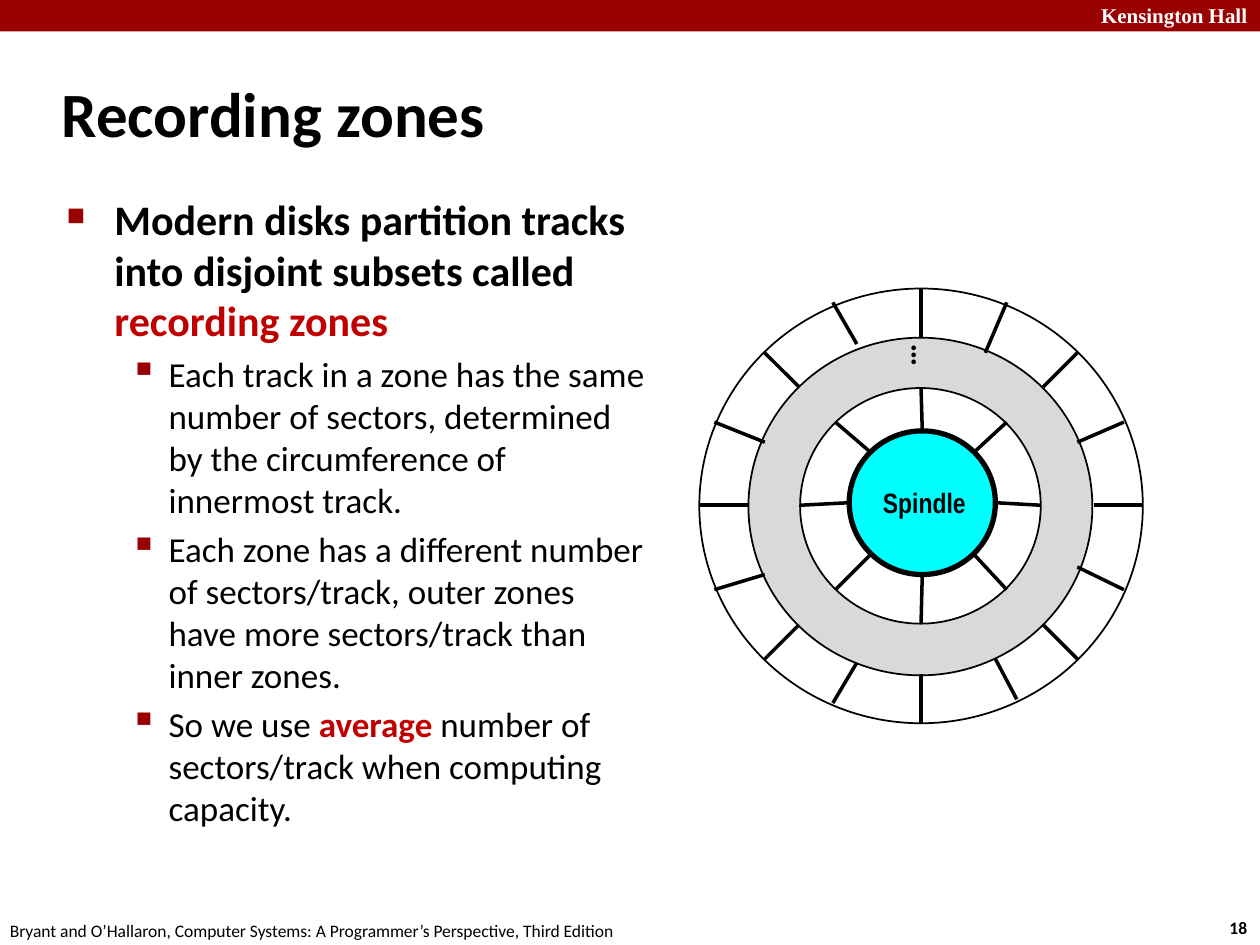
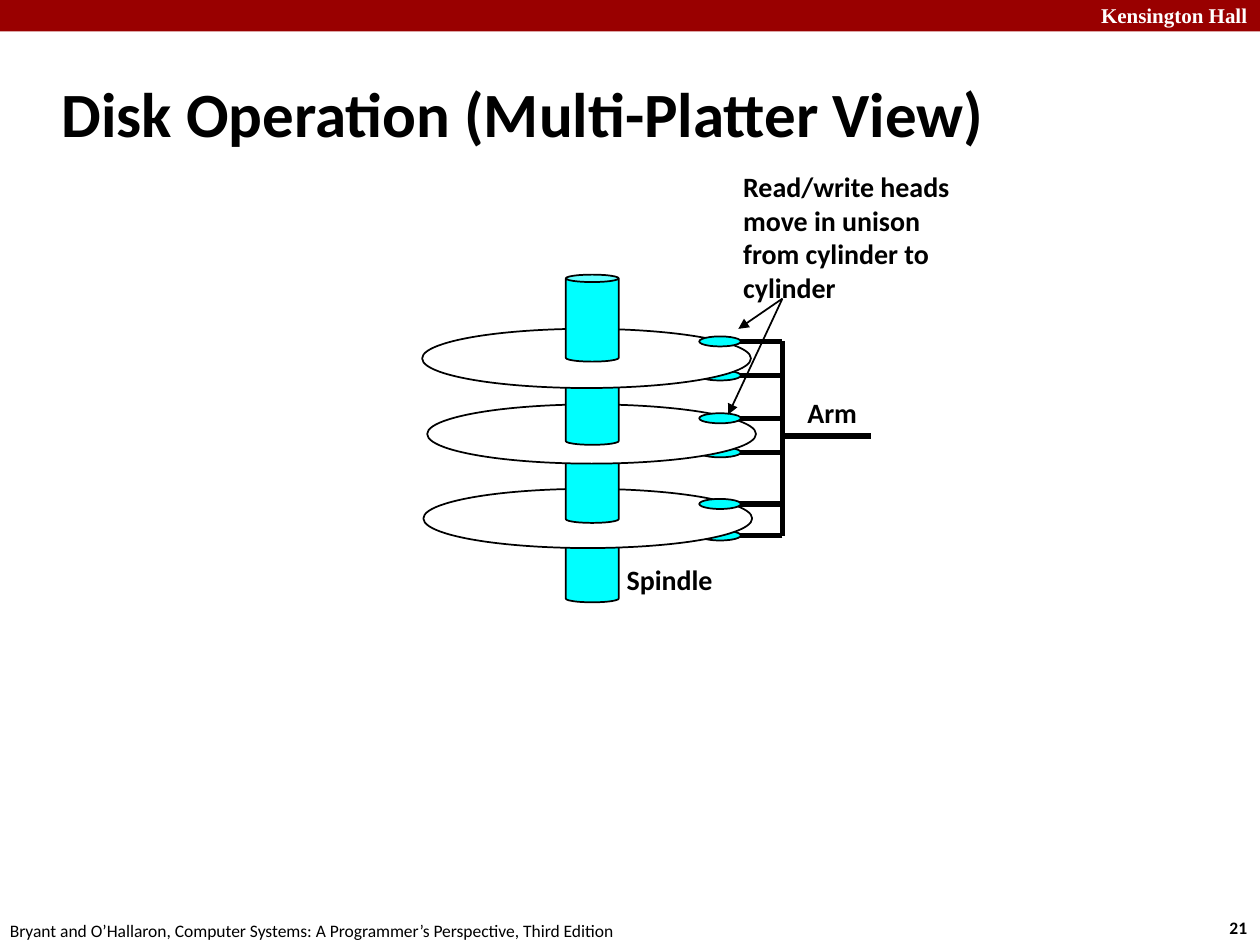
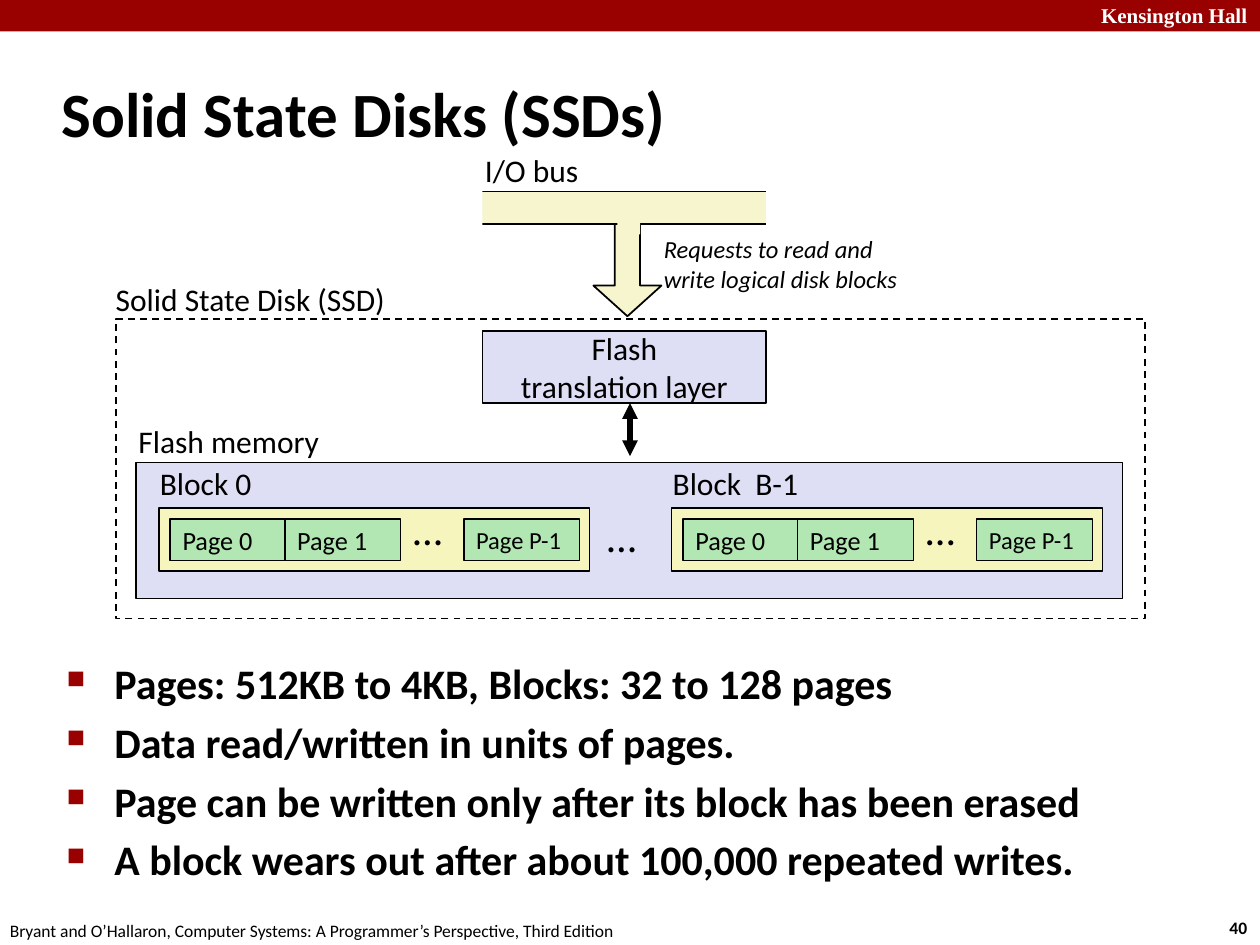
"""Build three lecture slides on disk zones, multi-platter disks and solid state disks."""
from lxml.etree import SubElement
from pptx import Presentation
from pptx.dml.color import RGBColor
from pptx.enum.dml import MSO_LINE
from pptx.enum.shapes import MSO_CONNECTOR, MSO_SHAPE as SHAPE
from pptx.enum.text import MSO_ANCHOR as ANCHOR, MSO_AUTO_SIZE as FIT, PP_ALIGN as ALIGN
from pptx.oxml.ns import qn
from pptx.util import Inches, Pt

COLORS = {
    "band": "990000", "accent": "C00000", "black": "000000", "white": "FFFFFF",
    "gap": "D9D9D9", "cyan": "00FFFF", "lavender": "DEDFF5",
    "bus": "F7F5CD", "block": "F6F5BD", "page": "B2E6B2",
}
INSTITUTION = "Kensington Hall"
FOOTER = "Bryant and O’Hallaron, Computer Systems: A Programmer’s Perspective, Third Edition"

LEVELS = [
    {"indent": 0.38, "hang": 0.38, "before": 4.8, "mark": "■", "percent": 60,
     "font": {"size": 24, "bold": True}},
    {"indent": 0.81, "hang": 0.31, "before": 4, "mark": "▪", "percent": 110,
     "font": {"size": 20, "bold": False}},
]
EMPHASIS = {"bold": True, "color": "accent"}

ZONE_POINTS = [
    (0, [("Modern disks partition tracks into disjoint subsets called ", False),
         ("recording zones", True)]),
    (1, [("Each track in a zone has the same number of sectors, determined by the "
          "circumference of innermost track.", False)]),
    (1, [("Each zone has a different number of sectors/track, outer zones have more "
          "sectors/track than inner zones.", False)]),
    (1, [("So we use ", False), ("average ", True),
         ("number of sectors/track when computing capacity.", False)]),
]
ZONE_RINGS = [
    ((5.94, 2.68, 2.73, 2.68), "gap"),
    ((6.35, 3.08, 1.91, 1.87), "white"),
    ((5.55, 2.29, 3.52, 3.45), None),
]
INNER_SECTORS = [
    (7.31, 3.08, 7.32, 3.42), (7.99, 3.35, 7.73, 3.59), (8.26, 4.01, 7.9, 3.99),
    (7.99, 4.68, 7.73, 4.4), (7.31, 4.95, 7.32, 4.56), (6.91, 4.4, 6.63, 4.68),
    (6.74, 3.99, 6.35, 4.01), (6.63, 3.35, 6.91, 3.59),
]
OUTER_SECTORS = [
    (7.31, 2.29, 7.31, 2.68), (7.99, 2.4, 7.82, 2.8), (8.55, 2.8, 8.28, 3.07),
    (8.55, 3.51, 8.92, 3.35), (9.07, 4.01, 8.68, 4.01), (8.55, 4.5, 8.92, 4.68),
    (8.55, 5.23, 8.28, 4.96), (7.9, 5.23, 8.07, 5.55), (7.31, 5.74, 7.31, 5.35),
    (6.8, 5.26, 6.61, 5.58), (6.34, 4.96, 6.07, 5.23), (5.67, 4.68, 6.07, 4.56),
    (5.94, 4.01, 5.55, 4.01), (5.67, 3.35, 6.07, 3.51), (6.07, 2.8, 6.34, 3.07),
    (6.61, 2.4, 6.8, 2.73),
]

PLATTERS = [
    {"spindle": 4.09, "disc": (3.36, 3.88), "upper": 4.0, "lower": 4.25},
    {"spindle": 3.46, "disc": (3.39, 3.21), "upper": 3.32, "lower": 3.59},
    {"spindle": 2.84, "disc": (3.35, 2.61), "upper": 2.71, "lower": 2.98},
]
SPINDLE_TOP = 2.18
ARM_X = 6.21
HEADS_NOTE = ["Read/write heads", "move in unison", "from cylinder to cylinder"]
HEADS_NOTE_TARGETS = [(5.86, 2.61), (5.78, 3.29)]

BLOCKS = [("Block 0", 1.26), ("Block  B-1", 5.33)]
PAGES = [("Page 0", 0.09, 15), ("Page 1", 1.0, 15), ("Page P-1", 2.42, 14)]
SSD_LABELS = [
    ("Flash memory", (1, 3.3, 1.65, 0.4), 18),
    ("Solid State Disk (SSD)", (0.82, 2.17, 2.37, 0.4), 18),
    ("I/O bus", (3.75, 1.15, 0.95, 0.4), 18),
    ("…", (4.72, 4, 0.44, 0.5), 24),
]
REQUESTS_NOTE = ["Requests to read and", "write logical disk blocks"]
SSD_POINTS = [
    "Pages: 512KB to 4KB, Blocks: 32 to 128 pages",
    "Data read/written in units of pages.",
    "Page can be written only after its block has been erased",
    "A block wears out after about 100,000 repeated writes.",
]


def rgb(color):
    return RGBColor.from_string(COLORS[color])


def add_run(paragraph, text, size=18, color="black", name="Calibri", **style):
    run = paragraph.add_run()
    run.text = text
    run.font.color.rgb = rgb(color)
    for key, value in {"size": Pt(size), "name": name, **style}.items():
        setattr(run.font, key, value)


def write(frame, lines, align=ALIGN.LEFT, **font):
    for number, line in enumerate(lines):
        paragraph = frame.add_paragraph() if number else frame.paragraphs[0]
        paragraph.alignment = align
        add_run(paragraph, line, **font)


def add_label(slide, box, lines, wrap=False, anchor=ANCHOR.TOP, fit=FIT.SHAPE_TO_FIT_TEXT,
              **font):
    frame = slide.shapes.add_textbox(*map(Inches, box)).text_frame
    settings = {"word_wrap": wrap, "vertical_anchor": anchor, "auto_size": fit}
    for key, value in settings.items():
        setattr(frame, key, value)
    write(frame, lines, **font)
    return frame


def add_part(slide, kind, box, fill=None, line=1, lines=(), adjust=(), **font):
    part = slide.shapes.add_shape(kind, *map(Inches, box))
    part.shadow.inherit = False
    for number, value in enumerate(adjust):
        part.adjustments[number] = value
    if fill:
        part.fill.solid()
        part.fill.fore_color.rgb = rgb(fill)
    else:
        part.fill.background()
    if line:
        part.line.color.rgb = rgb("black")
        part.line.width = Pt(line)
    else:
        part.line.fill.background()
    if lines:
        part.text_frame.word_wrap = False
        part.text_frame.vertical_anchor = ANCHOR.MIDDLE
        write(part.text_frame, lines, **font)
    return part


def add_line(slide, ends, width, arrows=()):
    connector = slide.shapes.add_connector(MSO_CONNECTOR.STRAIGHT, *map(Inches, ends))
    connector.line.color.rgb = rgb("black")
    connector.line.width = Pt(width)
    outline = connector.line._get_or_add_ln()
    for end in arrows:
        SubElement(outline, qn(f"a:{end}"), type="triangle")
    SubElement(connector._element.spPr, qn("a:effectLst"))


def add_points(slide, box, points):
    frame = slide.shapes.add_textbox(*map(Inches, box)).text_frame
    frame.word_wrap = True
    for number, (depth, runs) in enumerate(points):
        level = LEVELS[depth]
        paragraph = frame.add_paragraph() if number else frame.paragraphs[0]
        paragraph.level = depth
        paragraph.space_before = Pt(level["before"])
        props = paragraph._p.get_or_add_pPr()
        props.set("marL", str(Inches(level["indent"])))
        props.set("indent", str(-Inches(level["hang"])))
        SubElement(SubElement(props, qn("a:buClr")), qn("a:srgbClr"), val=COLORS["band"])
        SubElement(props, qn("a:buSzPct"), val=str(level["percent"] * 1000))
        SubElement(props, qn("a:buChar"), char=level["mark"])
        for text, emphasised in runs:
            add_run(paragraph, text, **{**level["font"], **(EMPHASIS if emphasised else {})})


def add_slide(deck, title, number):
    slide = deck.slides.add_slide(deck.slide_layouts[6])
    add_part(slide, SHAPE.RECTANGLE, (0, 0, 10, 0.25), "band", line=0)
    add_label(slide, (8.64, -0.03, 1.43, 0.3), [INSTITUTION],
              size=12, name="Times New Roman", color="white", bold=True)
    add_label(slide, (9.66, 7.23, 0.37, 0.27), [str(number)], size=10, bold=True)
    add_label(slide, (-0.02, 7.25, 5.08, 0.27), [FOOTER], size=10)
    add_label(slide, (0.39, 0.48, 8.3, 0.83), [title], wrap=True, anchor=ANCHOR.MIDDLE,
              fit=FIT.NONE, size=36, bold=True)
    return slide


def build_zones(deck):
    slide = add_slide(deck, "Recording zones", 18)
    add_points(slide, (0.43, 1.49, 4.83, 5.54), ZONE_POINTS)
    for box, fill in ZONE_RINGS:
        add_part(slide, SHAPE.OVAL, box, fill)
    add_part(slide, SHAPE.OVAL, (6.74, 3.42, 1.16, 1.14), "cyan", 3, ["Spindle"],
             size=16, name="Arial Narrow", bold=True)
    for ends in INNER_SECTORS + OUTER_SECTORS:
        add_line(slide, ends, 2)
    more_tracks = add_label(slide, (6.97, 2.73, 0.5, 0.28), ["…"], size=18, bold=True)
    more_tracks._txBody.bodyPr.set("vert", "vert270")


def add_head(slide, y):
    add_line(slide, (ARM_X, y, 5.71, y), 3)
    add_part(slide, SHAPE.OVAL, (5.55, y - 0.04, 0.33, 0.08), "cyan")


def add_spindle(slide, top):
    add_part(slide, SHAPE.CAN, (4.49, top, 0.42, 0.69), "cyan", adjust=[0.14])


def build_platters(deck):
    slide = add_slide(deck, "Disk Operation (Multi-Platter View)", 21)
    for platter in PLATTERS:
        add_head(slide, platter["lower"])
        add_spindle(slide, platter["spindle"])
        add_part(slide, SHAPE.OVAL, (*platter["disc"], 2.61, 0.47), "white")
        add_head(slide, platter["upper"])
    add_spindle(slide, SPINDLE_TOP)
    add_line(slide, (ARM_X, PLATTERS[-1]["upper"], ARM_X, PLATTERS[0]["lower"]), 3)
    add_line(slide, (ARM_X, 3.46, 6.91, 3.46), 3)
    bold = {"anchor": ANCHOR.MIDDLE, "size": 16, "bold": True}
    add_label(slide, (6.31, 3.09, 0.61, 0.37), ["Arm"], **bold)
    add_label(slide, (4.87, 4.41, 0.89, 0.37), ["Spindle"], align=ALIGN.CENTER, **bold)
    add_label(slide, (5.8, 1.29, 2.41, 1.18), HEADS_NOTE, wrap=True, **bold)
    for target in HEADS_NOTE_TARGETS:
        add_line(slide, (ARM_X, 2.37, *target), 1, ["tailEnd"])


def add_block(slide, name, left):
    add_part(slide, SHAPE.RECTANGLE, (left, 4.03, 3.42, 0.5), "block")
    for page, offset, size in PAGES:
        add_part(slide, SHAPE.RECTANGLE, (left + offset, 4.12, 0.92, 0.33), "page",
                 lines=[page], size=size)
    add_label(slide, (left + 1.92, 3.95, 0.44, 0.5), ["…"], size=24)
    add_label(slide, (left - 0.09, 3.63, 1.21, 0.4), [name], size=18)


def build_ssd(deck):
    slide = add_slide(deck, "Solid State Disks (SSDs)", 40)
    add_points(slide, (0.43, 5.17, 8.64, 2.08), [(0, [(text, False)]) for text in SSD_POINTS])
    add_part(slide, SHAPE.RECTANGLE, (1.08, 3.67, 7.83, 1.08), "lavender")
    add_part(slide, SHAPE.DOWN_ARROW, (4.71, 1.76, 0.54, 0.75), "bus", adjust=[0.37, 0.45])
    add_part(slide, SHAPE.RECTANGLE, (3.83, 2.63, 2.25, 0.57), "lavender",
             lines=["Flash", "translation layer"], align=ALIGN.CENTER, size=18)
    add_line(slide, (5, 3.2, 5, 3.62), 3, ["headEnd", "tailEnd"])
    add_part(slide, SHAPE.RECTANGLE, (3.75, 1.52, 2.42, 0.26), "bus")
    add_part(slide, SHAPE.RECTANGLE, (4.9, 1.69, 0.18, 0.17), "bus", line=0)
    for bus_end in [(6.08, 1.28, 0.5, 0.58), (3.33, 1.33, 0.5, 0.5)]:
        add_part(slide, SHAPE.RECTANGLE, bus_end, "white", line=0)
    for name, left in BLOCKS:
        add_block(slide, name, left)
    drive = add_part(slide, SHAPE.RECTANGLE, (0.92, 2.53, 8.17, 2.38))
    drive.line.dash_style = MSO_LINE.DASH
    for text, box, size in SSD_LABELS:
        add_label(slide, box, [text], size=size)
    add_label(slide, (5.17, 1.81, 2.33, 0.57), REQUESTS_NOTE, wrap=True, size=14, italic=True)


def main():
    deck = Presentation()
    deck.slide_width, deck.slide_height = Inches(10), Inches(7.5)
    for build in (build_zones, build_platters, build_ssd):
        build(deck)
    deck.save("out.pptx")


if __name__ == "__main__":
    main()
